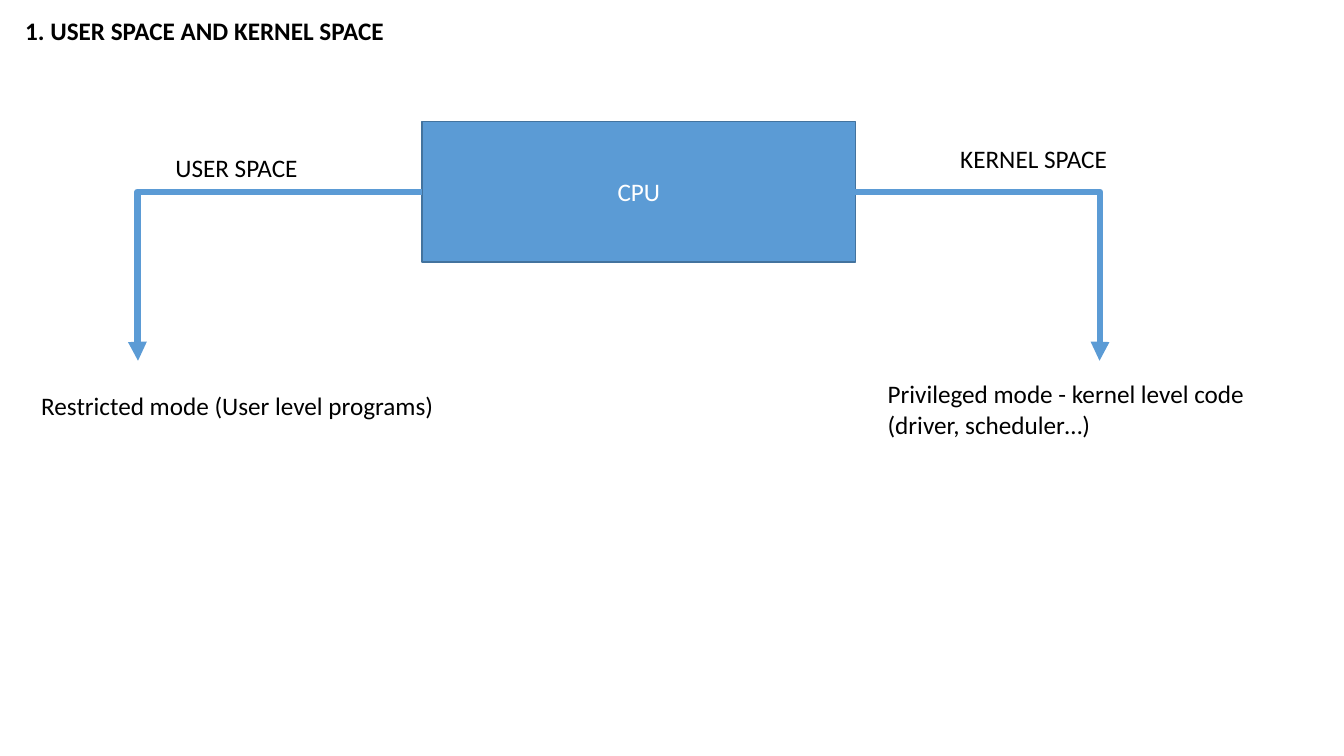
from lxml import etree
from pptx import Presentation, util as u
from pptx.dml.color import RGBColor
from pptx.enum import shapes, text
from pptx.oxml.ns import qn

BLACK = RGBColor(0x00, 0x00, 0x00)
WHITE = RGBColor(0xFF, 0xFF, 0xFF)
BLUE = RGBColor(0x5B, 0x9B, 0xD5)
DARK_BLUE = RGBColor(0x43, 0x73, 0x9E)

CPU_LEFT, CPU_TOP, CPU_WIDTH, CPU_HEIGHT = 10.64, 3.07, 10.92, 3.53
CPU_MIDDLE = CPU_TOP + CPU_HEIGHT / 2
ARROW_BOTTOM = 9.09


def write(sp, words, color=BLACK, bold=False, align=text.PP_ALIGN.LEFT,
          anchor=text.MSO_ANCHOR.TOP):
    tf = sp.text_frame
    tf.word_wrap = True
    tf.vertical_anchor = anchor
    p = tf.paragraphs[0]
    p.text = words
    p.alignment = align
    p.line_spacing = 1.0
    p.space_before = u.Pt(0)
    p.font.name = "Calibri"
    p.font.size = u.Pt(18)
    p.font.bold = bold
    p.font.color.rgb = color


def add_title(s, words, left, top, width, height):
    sp = s.shapes.title
    sp.left, sp.top = u.Cm(left), u.Cm(top)
    sp.width, sp.height = u.Cm(width), u.Cm(height)
    write(sp, words, bold=True)
    sp.text_frame.auto_size = text.MSO_AUTO_SIZE.SHAPE_TO_FIT_TEXT


def add_label(s, words, left, top, width, height=1.02):
    sp = s.shapes.add_textbox(u.Cm(left), u.Cm(top), u.Cm(width), u.Cm(height))
    write(sp, words)
    sp.text_frame.auto_size = text.MSO_AUTO_SIZE.SHAPE_TO_FIT_TEXT


def add_box(s, words, left, top, width, height):
    sp = s.shapes.add_shape(shapes.MSO_SHAPE.RECTANGLE, u.Cm(left), u.Cm(top),
                            u.Cm(width), u.Cm(height))
    sp.shadow.inherit = False
    sp.fill.solid()
    sp.fill.fore_color.rgb = BLUE
    sp.line.color.rgb = DARK_BLUE
    sp.line.width = u.Pt(1)
    write(sp, words, WHITE, align=text.PP_ALIGN.CENTER,
          anchor=text.MSO_ANCHOR.MIDDLE)


def add_bent_arrow(s, x1, y1, x2, y2):
    cxn = s.shapes.add_connector(shapes.MSO_CONNECTOR.ELBOW, u.Cm(x1), u.Cm(y1),
                                 u.Cm(x2), u.Cm(y2))
    cxn.line.color.rgb = BLUE
    cxn.line.width = u.Pt(4.5)
    sp_pr = cxn.line._get_or_add_ln().getparent()
    guides = sp_pr.find(qn("a:prstGeom")).get_or_add_avLst()
    etree.SubElement(guides, qn("a:gd"), name="adj1", fmla="val 100200")
    etree.SubElement(sp_pr.find(qn("a:ln")), qn("a:tailEnd"), type="triangle")
    etree.SubElement(sp_pr, qn("a:effectLst"))


def main():
    prs = Presentation()
    prs.slide_width, prs.slide_height = u.Cm(33.87), u.Cm(19.05)
    s = prs.slides.add_slide(prs.slide_layouts.get_by_name("Title Only"))

    add_title(s, "1. USER SPACE AND KERNEL SPACE", 0.38, 0.25, 10.26, 1.02)
    add_box(s, "CPU", CPU_LEFT, CPU_TOP, CPU_WIDTH, CPU_HEIGHT)
    for start, end in ((CPU_LEFT + CPU_WIDTH, 27.71), (CPU_LEFT, 3.48)):
        add_bent_arrow(s, start, CPU_MIDDLE, end, ARROW_BOTTOM)

    add_label(s, "USER SPACE", 4.17, 3.71, 4.78)
    add_label(s, "KERNEL SPACE", 23.95, 3.48, 4.78)
    add_label(s, "Restricted mode (User level programs)", 0.79, 9.7, 11.15)
    add_label(s, "Privileged mode - kernel level code (driver, scheduler…)",
              22.12, 9.42, 11.15, 1.8)

    prs.save("out.pptx")


if __name__ == "__main__":
    main()
